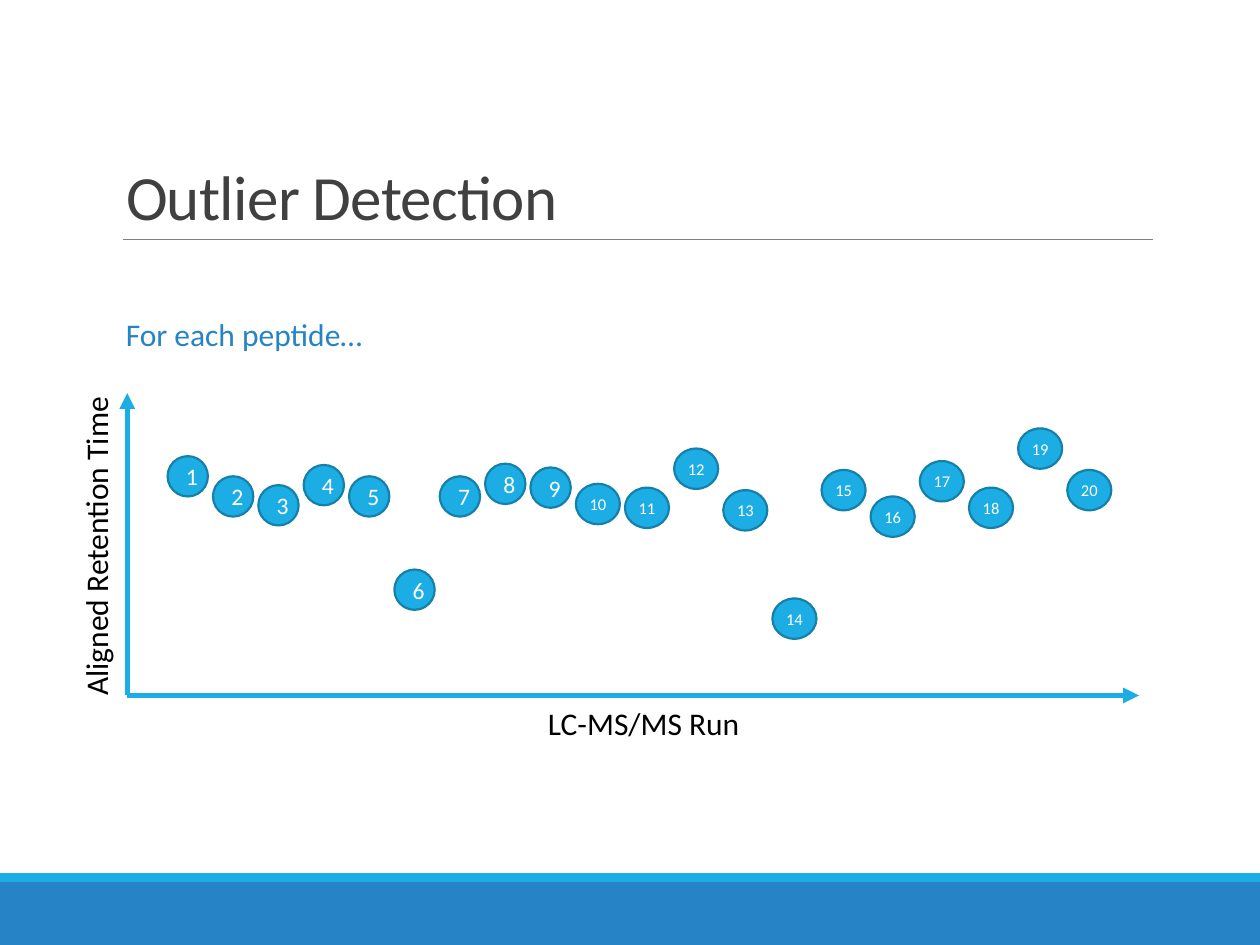
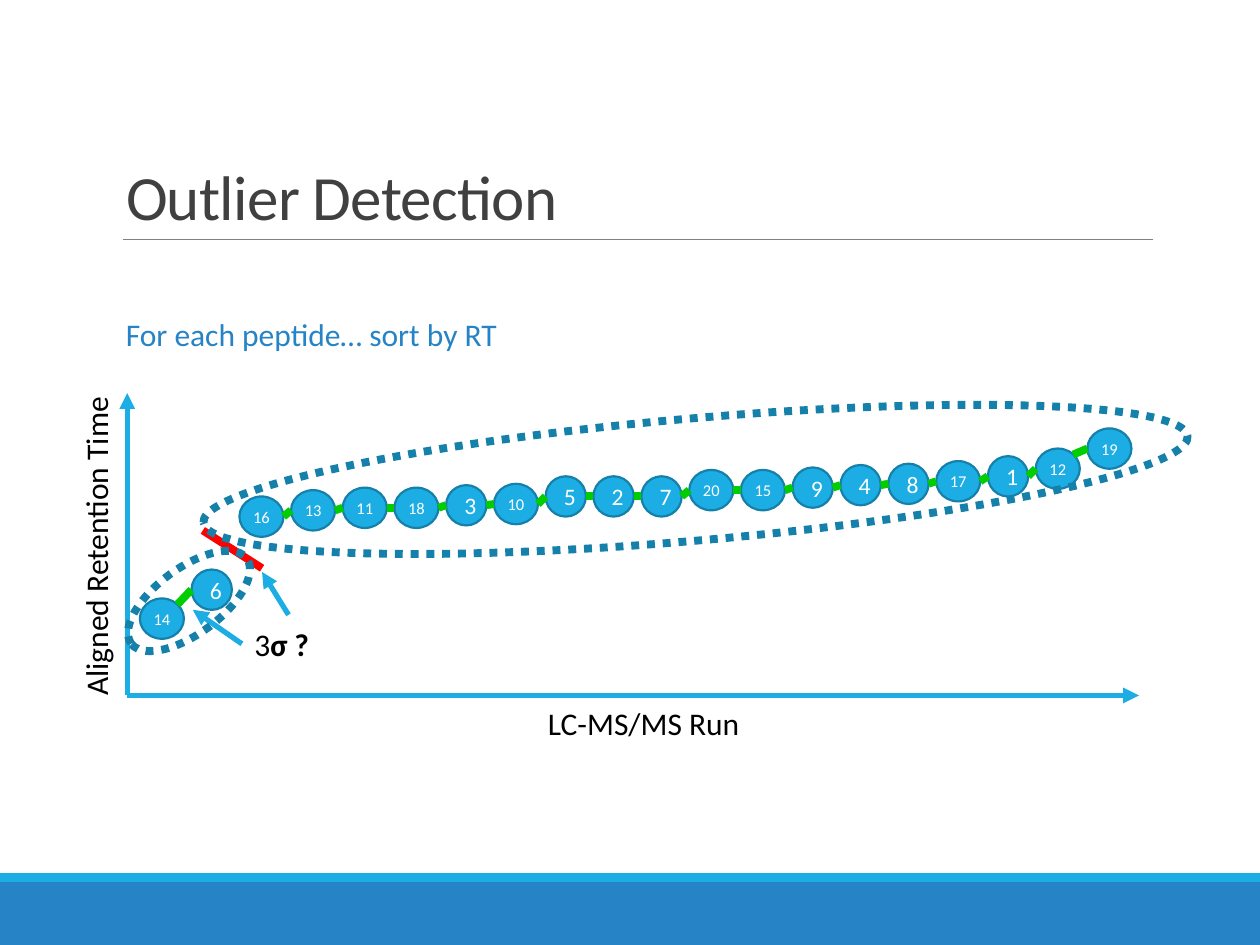
import pptx
import pptx.util
import pptx.dml.color
import pptx.enum.dml
import pptx.enum.shapes
import pptx.enum.text
from pptx.oxml.ns import qn
from itertools import pairwise
from lxml import etree

Inches, Pt = pptx.util.Inches, pptx.util.Pt
Shape = pptx.enum.shapes.MSO_SHAPE
Anchor = pptx.enum.text.MSO_ANCHOR
Align = pptx.enum.text.PP_ALIGN
Fit = pptx.enum.text.MSO_AUTO_SIZE

THEME = {
    "font": "Calibri",
    "title": "404040", "text": "000000", "white": "FFFFFF", "rule": "808080",
    "blue": "2683C6", "sky": "1CADE4", "edge": "1580A9",
    "link": "01CD01", "cut": "FF0000",
    "title_pt": 36, "text_pt": 18, "digit_pt": 13.5, "pair_pt": 9.4,
}

TITLE = "Outlier Detection"
X_NAME, Y_NAME = "LC-MS/MS Run", "Aligned Retention Time"

# Top of each run's dot, in inches, for runs 1 to 20
TOPS = [3.62, 3.78, 3.85, 3.69, 3.78, 4.52, 3.78, 3.68, 3.71, 3.84,
        3.87, 3.56, 3.89, 4.75, 3.73, 3.94, 3.66, 3.87, 3.4, 3.73]
DOT_H, DIGIT_W, PAIR_W = 0.32, 0.32, 0.35

BY_RUN = {"lead": ("For each peptide…", 2.1), "runs": range(1, 21),
          "start": 1.33, "gap": 0.04}
BY_TIME = {"lead": ("For each peptide… sort by RT", 3.18),
           "runs": [14, 6, 16, 13, 11, 18, 3, 10, 5, 2,
                    7, 20, 15, 9, 4, 8, 17, 1, 12, 19],
           "start": 1.11, "gap": 0.06}

SPLIT = (6, 16)               # neighbours parted by the red cut
STEEP = [(14, 6), (12, 19)]   # links that leave from the upper right of a dot
CUT = ((1.61, 4.21), (2.08, 4.51))
HINTS = [((1.92, 5.11), (1.53, 4.84)), ((2.29, 4.88), (2.08, 4.54))]
RINGS = [((0.93, 4.51, 1.14, 0.52), 323.6), ((1.6, 3.32, 7.84, 0.97), 355)]


def rgb(name):
    return pptx.dml.color.RGBColor.from_string(THEME[name])


def style(para, size, color):
    para.font.name = THEME["font"]
    para.font.size = Pt(THEME[size])
    para.font.color.rgb = rgb(color)


def add_form(slide, kind, box, fill=None, edge=None, width=1.25):
    form = slide.shapes.add_shape(kind, *map(Inches, box))
    form.shadow.inherit = False
    if fill:
        form.fill.solid()
        form.fill.fore_color.rgb = rgb(fill)
    else:
        form.fill.background()
    if edge:
        form.line.color.rgb = rgb(edge)
        form.line.width = Pt(width)
    else:
        form.line.fill.background()
    return form


def add_line(slide, start, end, color, width, arrow=False):
    line = slide.shapes.add_connector(
        pptx.enum.shapes.MSO_CONNECTOR.STRAIGHT, *map(Inches, (*start, *end)))
    line.line.color.rgb = rgb(color)
    line.line.width = Pt(width)
    props = line._element.spPr
    if arrow:
        etree.SubElement(props.find(qn("a:ln")), qn("a:tailEnd"),
                         type="triangle")
    etree.SubElement(props, qn("a:effectLst"))


def add_text(slide, box, parts, color="text", turn=0):
    """Add one line of text; parts are (words, bold) pairs."""
    area = slide.shapes.add_textbox(*map(Inches, box))
    area.rotation = turn
    frame = area.text_frame
    frame.word_wrap = False
    frame.auto_size = Fit.SHAPE_TO_FIT_TEXT
    para = frame.paragraphs[0]
    for words, bold in parts:
        run = para.add_run()
        run.text = words
        if bold:
            run.font.bold = True
    style(para, "text_pt", color)


def add_title(slide):
    title = slide.shapes.title
    title.left, title.top, title.width, title.height = map(
        Inches, (0.9, 0.31, 8.25, 1.59))
    frame = title.text_frame
    frame.text = TITLE
    frame.auto_size = Fit.NONE
    frame.vertical_anchor = Anchor.BOTTOM
    para = frame.paragraphs[0]
    para.alignment = Align.LEFT
    para.line_spacing = 0.85
    style(para, "title_pt", "title")
    para.runs[0].font._element.set("spc", "-40")


def add_dot(slide, run, left):
    """Draw the dot of a run and return its box."""
    pair = run > 9
    box = (left, TOPS[run - 1], PAIR_W if pair else DIGIT_W, DOT_H)
    frame = add_form(slide, Shape.OVAL, box, "sky", "edge").text_frame
    frame.vertical_anchor = Anchor.MIDDLE
    if pair:
        frame.margin_left = frame.margin_right = 0
    para = frame.paragraphs[0]
    para.text = str(run)
    para.alignment = Align.CENTER
    style(para, "pair_pt" if pair else "digit_pt", "white")
    return box


def add_plot(deck, view):
    """Add a slide with the axes and a row of dots; return it with their boxes."""
    slide = deck.slides.add_slide(deck.slide_layouts[5])
    add_form(slide, Shape.RECTANGLE, (0, 7, 10, 0.5), "blue")
    add_form(slide, Shape.RECTANGLE, (0, 6.93, 10, 0.07), "sky")
    add_line(slide, (0.98, 1.9), (9.15, 1.9), "rule", 0.5)
    add_title(slide)
    lead, wide = view["lead"]
    add_text(slide, (0.9, 2.45, wide, 0.4), [(lead, False)], "blue")
    for tip in [(1.01, 3.12), (9.04, 5.52)]:
        add_line(slide, (1.01, 5.52), tip, "sky", 3, arrow=True)
    add_text(slide, (4.25, 5.54, 1.74, 0.4), [(X_NAME, False)])
    dots, left = {}, view["start"]
    for run in view["runs"]:
        dots[run] = add_dot(slide, run, left)
        left += dots[run][2] + view["gap"]
    add_text(slide, (-0.54, 4.12, 2.6, 0.4), [(Y_NAME, False)], turn=270)
    return slide, dots


def add_links(slide, dots):
    for pair in pairwise(dots):
        if pair == SPLIT:
            continue
        (left, top, wide, high), (end, low, *_) = (dots[run] for run in pair)
        start = (left + wide, top + high / 2)
        if pair in STEEP:
            start = (left + 0.85 * wide, top + 0.15 * high)
        add_line(slide, start, (end, low + high / 2), "link", 4.5)


def main():
    deck = pptx.Presentation()
    deck.slide_width, deck.slide_height = Inches(10), Inches(7.5)
    add_plot(deck, BY_RUN)

    slide, dots = add_plot(deck, BY_TIME)
    add_text(slide, (1.92, 4.91, 0.64, 0.4), [("3", False), ("σ ?", True)])
    for start, end in HINTS:
        add_line(slide, start, end, "sky", 3, arrow=True)
    add_line(slide, *CUT, "cut", 4.5)
    add_links(slide, dots)
    for box, turn in RINGS:
        ring = add_form(slide, Shape.OVAL, box, edge="edge", width=4.5)
        ring.line.dash_style = pptx.enum.dml.MSO_LINE.ROUND_DOT
        ring.rotation = turn
    deck.save("out.pptx")


if __name__ == "__main__":
    main()
